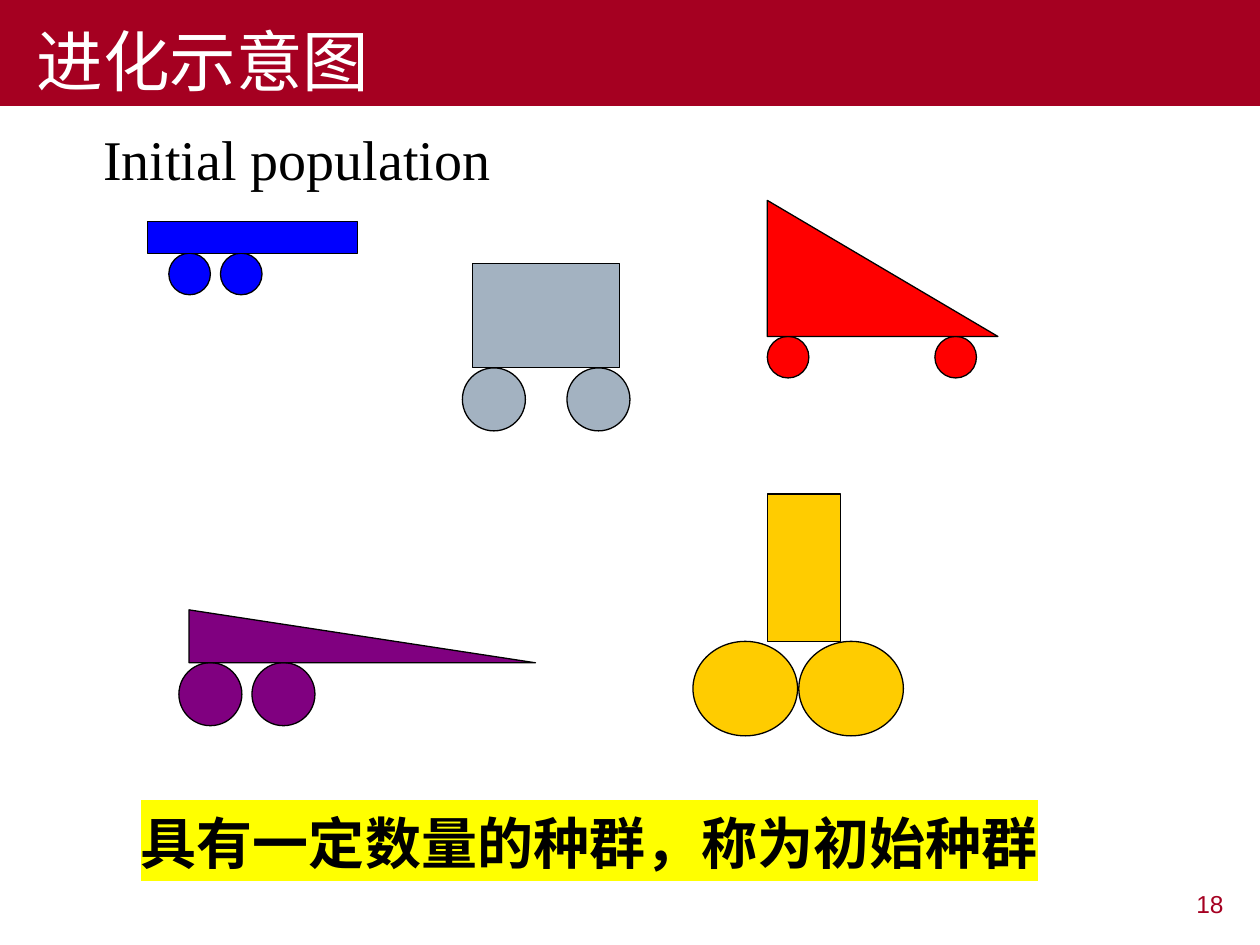
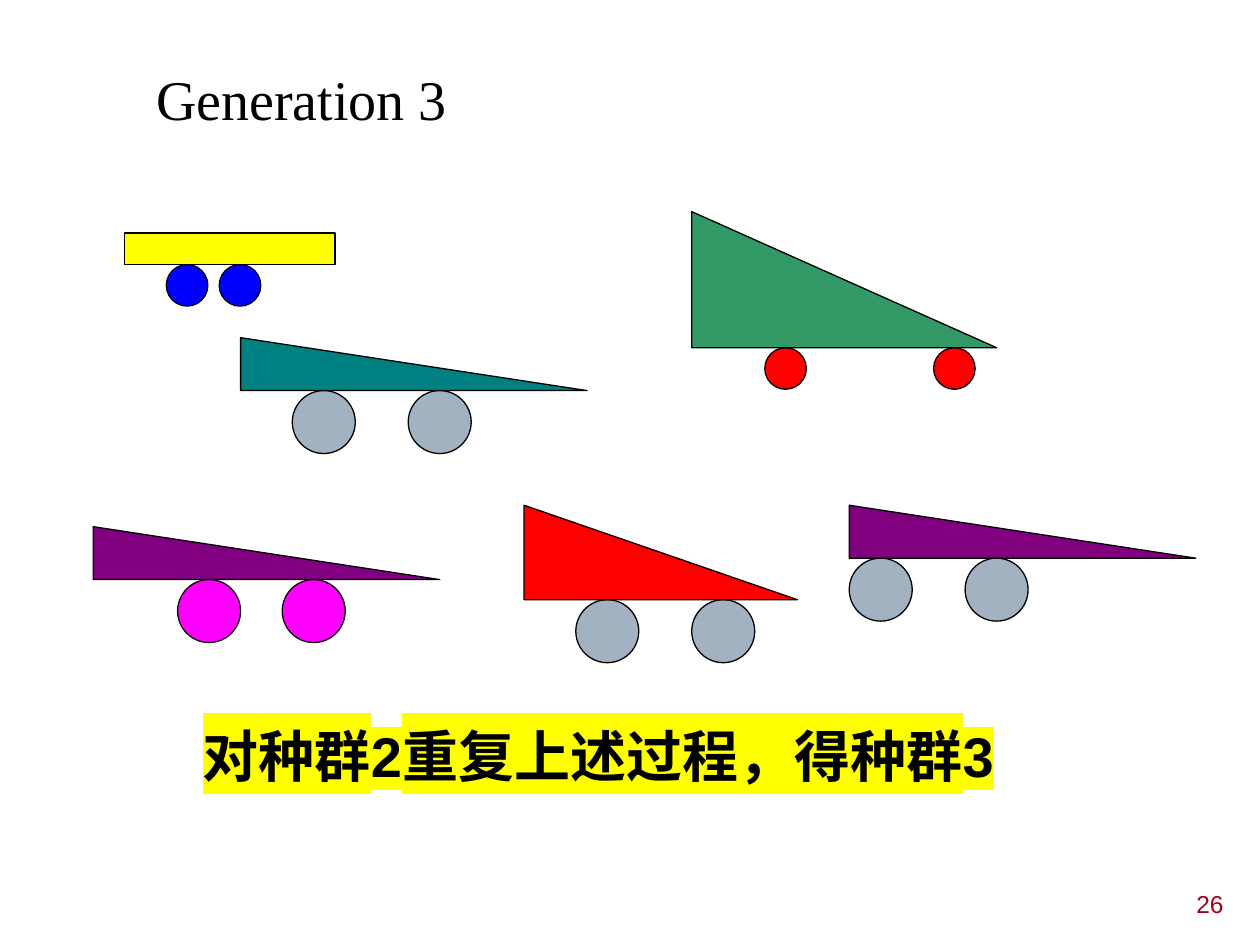
from dataclasses import dataclass

from lxml.etree import Element, SubElement
from pptx import Presentation
from pptx.dml.color import RGBColor
from pptx.enum.shapes import MSO_SHAPE
from pptx.enum.text import MSO_ANCHOR, MSO_AUTO_SIZE, PP_ALIGN
from pptx.oxml.ns import qn
from pptx.slide import Slide
from pptx.text.text import TextFrame
from pptx.util import Inches, Pt

BLACK = RGBColor(0x00, 0x00, 0x00)
WHITE = RGBColor(0xFF, 0xFF, 0xFF)
CRIMSON = RGBColor(0xA5, 0x00, 0x21)
BLUE = RGBColor(0x00, 0x00, 0xFF)
GREY = RGBColor(0xA3, 0xB2, 0xC1)
RED = RGBColor(0xFF, 0x00, 0x00)
PURPLE = RGBColor(0x80, 0x00, 0x80)
GOLD = RGBColor(0xFF, 0xCC, 0x00)
YELLOW = RGBColor(0xFF, 0xFF, 0x00)
GREEN = RGBColor(0x33, 0x99, 0x66)
MAGENTA = RGBColor(0xFF, 0x00, 0xFF)
TEAL = RGBColor(0x00, 0x80, 0x80)

TITLE_FORMAT = {"name": "Arial", "size": Pt(38), "bold": False}
HEADING_FORMAT = {"name": "Times New Roman", "size": Pt(32)}
CAPTION_FORMAT = {"name": "Arial", "size": Pt(32), "bold": True}
NUMBER_FORMAT = {"name": "Arial", "size": Pt(14)}

BOX = MSO_SHAPE.RECTANGLE
WEDGE = MSO_SHAPE.RIGHT_TRIANGLE
TITLE_ONLY, BLANK = 5, 6

Size = tuple[float, float]
SMALL: Size = (0.33, 0.33)
MEDIUM: Size = (0.5, 0.5)
LARGE: Size = (0.83, 0.75)


@dataclass(frozen=True)
class Vehicle:
    """A body standing on two wheels; all lengths are in inches."""
    outline: MSO_SHAPE
    left: float
    top: float
    width: float
    height: float
    body_color: RGBColor
    wheel_color: RGBColor
    wheel_size: Size
    wheel_lefts: tuple[float, float]


@dataclass(frozen=True)
class Label:
    text: str
    left: float
    top: float
    width: float
    height: float


@dataclass(frozen=True)
class Generation:
    number: str
    heading: Label
    caption: Label
    vehicles: tuple[Vehicle, ...]
    title: str = ""


GENERATIONS = (
    Generation(
        "18",
        Label("Initial population", 0.72, 0.94, 3.4, 0.63),
        Label("具有一定数量的种群，称为初始种群", 1.02, 6.37, 7.75, 0.64),
        (
            Vehicle(BOX, 1.17, 1.76, 1.67, 0.25, BLUE, BLUE, SMALL, (1.34, 1.75)),
            Vehicle(BOX, 3.75, 2.09, 1.17, 0.83, GREY, GREY, MEDIUM, (3.67, 4.5)),
            Vehicle(WEDGE, 6.09, 1.59, 1.83, 1.08, RED, RED, SMALL, (6.09, 7.42)),
            Vehicle(WEDGE, 1.5, 4.84, 2.75, 0.42, PURPLE, PURPLE, MEDIUM, (1.42, 2)),
            Vehicle(BOX, 6.09, 3.92, 0.58, 1.17, GOLD, GOLD, LARGE, (5.5, 6.34)),
        ),
        title="进化示意图",
    ),
    Generation(
        "26",
        Label("Generation 3", 1.14, 0.46, 2.51, 0.63),
        Label("对种群2重复上述过程，得种群3", 1.51, 5.68, 7.24, 0.64),
        (
            Vehicle(BOX, 0.99, 1.85, 1.67, 0.25, YELLOW, BLUE, SMALL, (1.32, 1.74)),
            Vehicle(WEDGE, 5.49, 1.68, 2.42, 1.08, GREEN, RED, SMALL, (6.07, 7.41)),
            Vehicle(WEDGE, 0.74, 4.18, 2.75, 0.42, PURPLE, MAGENTA, MEDIUM, (1.41, 2.24)),
            Vehicle(WEDGE, 4.16, 4.01, 2.17, 0.75, RED, GREY, MEDIUM, (4.57, 5.49)),
            Vehicle(WEDGE, 6.74, 4.01, 2.75, 0.42, PURPLE, GREY, MEDIUM, (6.74, 7.66)),
            Vehicle(WEDGE, 1.91, 2.68, 2.75, 0.42, TEAL, GREY, MEDIUM, (2.32, 3.24)),
        ),
    ),
)


def write(frame: TextFrame, text: str, text_format: dict, color: RGBColor) -> None:
    run = frame.paragraphs[0].add_run()
    run.text = text
    for attribute, value in text_format.items():
        setattr(run.font, attribute, value)
    run.font.color.rgb = color


def highlight(frame: TextFrame, color: RGBColor) -> None:
    for run in frame.paragraphs[0].runs:
        marker = Element(qn("a:highlight"))
        SubElement(marker, qn("a:srgbClr"), val=str(color))
        run.font._element.find(qn("a:solidFill")).addnext(marker)


def add_label(slide: Slide, label: Label, text_format: dict,
              color: RGBColor = BLACK, wrap: bool = True) -> TextFrame:
    frame = slide.shapes.add_textbox(
        Inches(label.left), Inches(label.top),
        Inches(label.width), Inches(label.height)).text_frame
    frame.word_wrap = wrap
    write(frame, label.text, text_format, color)
    return frame


def add_part(slide: Slide, outline: MSO_SHAPE, left: float, top: float,
             width: float, height: float, color: RGBColor) -> None:
    part = slide.shapes.add_shape(
        outline, Inches(left), Inches(top), Inches(width), Inches(height))
    part.shadow.inherit = False
    part.fill.solid()
    part.fill.fore_color.rgb = color
    part.line.color.rgb = BLACK
    part.line.width = Pt(0.75)


def add_vehicle(slide: Slide, vehicle: Vehicle) -> None:
    axle_top = vehicle.top + vehicle.height
    for wheel_left in vehicle.wheel_lefts:
        add_part(slide, MSO_SHAPE.OVAL, wheel_left, axle_top,
                 *vehicle.wheel_size, vehicle.wheel_color)
    add_part(slide, vehicle.outline, vehicle.left, vehicle.top,
             vehicle.width, vehicle.height, vehicle.body_color)


def fill_title_band(slide: Slide, text: str) -> None:
    band = slide.shapes.title
    band.left, band.top = Inches(0), Inches(0)
    band.width, band.height = Inches(10), Inches(0.84)
    band.fill.solid()
    band.fill.fore_color.rgb = CRIMSON
    frame = band.text_frame
    frame.auto_size = MSO_AUTO_SIZE.NONE
    frame.vertical_anchor = MSO_ANCHOR.BOTTOM
    paragraph = frame.paragraphs[0]
    paragraph.alignment = PP_ALIGN.LEFT
    properties = paragraph._p.get_or_add_pPr()
    properties.set("marL", "0")
    properties.set("indent", str(Inches(0.19)))
    write(frame, text, TITLE_FORMAT, WHITE)


def add_generation(deck: Presentation, generation: Generation) -> None:
    layout = deck.slide_layouts[TITLE_ONLY if generation.title else BLANK]
    slide = deck.slides.add_slide(layout)
    if generation.title:
        fill_title_band(slide, generation.title)
    number = add_label(slide, Label(generation.number, 7.64, 7.01, 2.17, 0.39),
                       NUMBER_FORMAT, CRIMSON)
    number.paragraphs[0].alignment = PP_ALIGN.RIGHT
    for vehicle in generation.vehicles:
        add_vehicle(slide, vehicle)
    heading = add_label(slide, generation.heading, HEADING_FORMAT, wrap=False)
    caption = add_label(slide, generation.caption, CAPTION_FORMAT)
    highlight(caption, YELLOW)
    for frame in (heading, caption):
        frame.auto_size = MSO_AUTO_SIZE.SHAPE_TO_FIT_TEXT


def main() -> None:
    deck = Presentation()
    deck.slide_width, deck.slide_height = Inches(10), Inches(7.5)
    for generation in GENERATIONS:
        add_generation(deck, generation)
    deck.save("out.pptx")


if __name__ == "__main__":
    main()
